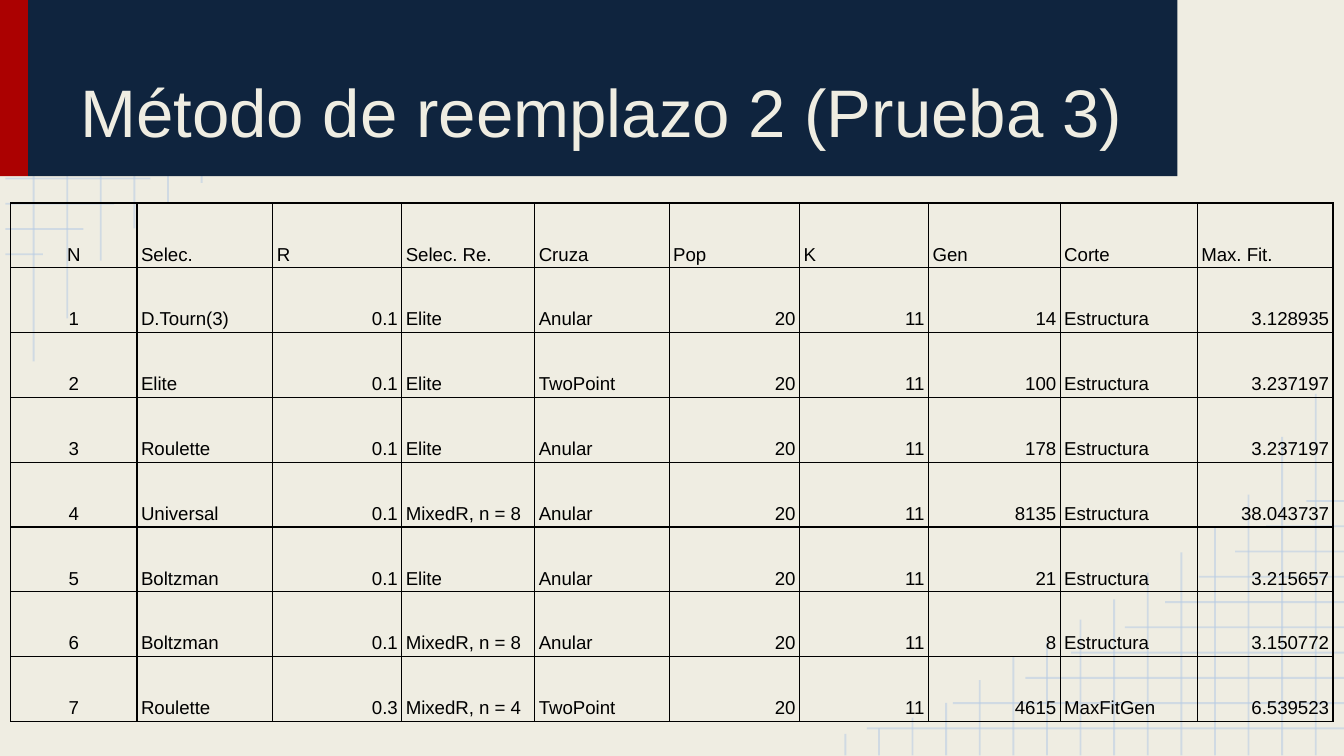
from pptx import Presentation, oxml, util as u
from pptx.dml.color import RGBColor
from pptx.enum import shapes, text
from pptx.oxml import ns


class Theme:
    font = "Arial"
    paper = RGBColor.from_string("EFEDE2")
    navy = RGBColor.from_string("0F243E")
    red = RGBColor.from_string("AB0101")
    grid = RGBColor.from_string("B7CCE4")
    ink = RGBColor.from_string("000000")
    title = u.Pt(36)
    body = u.Pt(10)


def put(frame, words, size=Theme.body, color=Theme.ink, align="LEFT", space=1.0):
    para = frame.paragraphs[0]
    para.alignment = getattr(text.PP_ALIGN, align)
    para.line_spacing = space
    run = para.add_run()
    run.text = words
    run.font.name = Theme.font
    run.font.size = size
    run.font.color.rgb = color


def rule(slide, x1, y1, x2, y2):
    line = slide.shapes.add_connector(
        shapes.MSO_CONNECTOR.STRAIGHT, *map(u.Inches, (x1, y1, x2, y2)))
    line.line.color.rgb = Theme.grid
    line.line.width = u.Pt(1)
    tint = line.line.fill._xPr.find(".//" + ns.qn("a:srgbClr"))
    tint.append(oxml.parse_xml(f'<a:alpha {ns.nsdecls("a")} val="54000"/>'))
    line._element.spPr.append(oxml.parse_xml(f'<a:effectLst {ns.nsdecls("a")}/>'))


# Page, 16 to 9
deck = Presentation()
deck.slide_width = u.Inches(10)
deck.slide_height = u.Inches(10 * 9 / 16)
slide = deck.slides.add_slide(deck.slide_layouts[6])
slide.background.fill.solid()
slide.background.fill.fore_color.rgb = Theme.paper

# Corner grids: the lower right one is the upper left one turned half round
band = 1.31
across = [3.55, 2.91, 2.37, 2.03, 1.63, 1.33, 1.08, 0.81, 0.58, 0.28]
down = [2.69, 2.37, 1.94, 1.70, 1.51, 1.36, 1.16, 1.01,
        0.84, 0.73, 0.56, 0.39, 0.28, 0.20, 0.16]
lines = [(0.04, 0.2 + 0.188 * i, 0.04 + reach, 0.2 + 0.188 * i)
         for i, reach in enumerate(across)]
lines += [(0.25 * i, 0, 0.25 * i, reach) for i, reach in enumerate(down, 1)]
for x1, y1, x2, y2 in lines:
    if y2 > band:
        rule(slide, x1, y1, x2, y2)
    rule(slide, 10.04 - x1, 5.62 - y1, 10.04 - x2, 5.62 - y2)

# Title band
for left, width, color in ((0, 0.21, Theme.red), (0.21, 8.55, Theme.navy)):
    bar = slide.shapes.add_shape(
        shapes.MSO_SHAPE.RECTANGLE,
        *map(u.Inches, (left, -0.01, width, band + 0.01)))
    bar.shadow.inherit = False
    bar.fill.solid()
    bar.fill.fore_color.rgb = color
    bar.line.fill.background()

# Title
box = slide.shapes.add_textbox(*map(u.Inches, (0.5, 0.11, 8, 1.11)))
frame = box.text_frame
frame.word_wrap = True
frame.vertical_anchor = text.MSO_ANCHOR.BOTTOM
frame.margin_left = frame.margin_right = u.Inches(0.1)
frame.margin_top = frame.margin_bottom = u.Inches(0.1)
put(frame, "Método de reemplazo 2 (Prueba 3)", size=Theme.title, color=Theme.paper)

# Results table
rows = [
    ("N", "Selec.", "R", "Selec. Re.", "Cruza", "Pop", "K", "Gen", "Corte", "Max. Fit."),
    ("1", "D.Tourn(3)", "0.1", "Elite", "Anular", "20", "11", "14", "Estructura", "3.128935"),
    ("2", "Elite", "0.1", "Elite", "TwoPoint", "20", "11", "100", "Estructura", "3.237197"),
    ("3", "Roulette", "0.1", "Elite", "Anular", "20", "11", "178", "Estructura", "3.237197"),
    ("4", "Universal", "0.1", "MixedR, n = 8", "Anular", "20", "11", "8135", "Estructura",
     "38.043737"),
    ("5", "Boltzman", "0.1", "Elite", "Anular", "20", "11", "21", "Estructura", "3.215657"),
    ("6", "Boltzman", "0.1", "MixedR, n = 8", "Anular", "20", "11", "8", "Estructura",
     "3.150772"),
    ("7", "Roulette", "0.3", "MixedR, n = 4", "TwoPoint", "20", "11", "4615", "MaxFitGen",
     "6.539523"),
]
widths = [0.94, 1.01, 0.96, 0.99, 1, 0.97, 0.96, 0.98, 1.02, 1.01]
table = slide.shapes.add_table(
    len(rows), len(widths),
    *map(u.Inches, (0.08, 1.51, sum(widths), 3.86))).table
table.first_row = table.horz_banding = False
for col, width in zip(table.columns, widths):
    col.width = u.Inches(width)

numbers = {2, 5, 6, 7, 9}
for r, row in enumerate(rows):
    for c, words in enumerate(row):
        cell = table.cell(r, c)
        cell.fill.background()
        cell.vertical_anchor = text.MSO_ANCHOR.BOTTOM
        cell.margin_left = cell.margin_right = u.Inches(0.03)
        cell.margin_top = cell.margin_bottom = u.Inches(0.02)
        align = "CENTER" if c == 0 else "RIGHT" if r and c in numbers else "LEFT"
        put(cell.text_frame, words, align=align, space=1.15)
        # Cell borders come before the fill
        for i, side in enumerate("LRTB"):
            cell._tc.tcPr.insert(i, oxml.parse_xml(
                f'<a:ln{side} {ns.nsdecls("a")} w="{u.Pt(0.75)}"><a:solidFill>'
                f'<a:srgbClr val="{Theme.ink}"/></a:solidFill></a:ln{side}>'))

deck.save("out.pptx")
